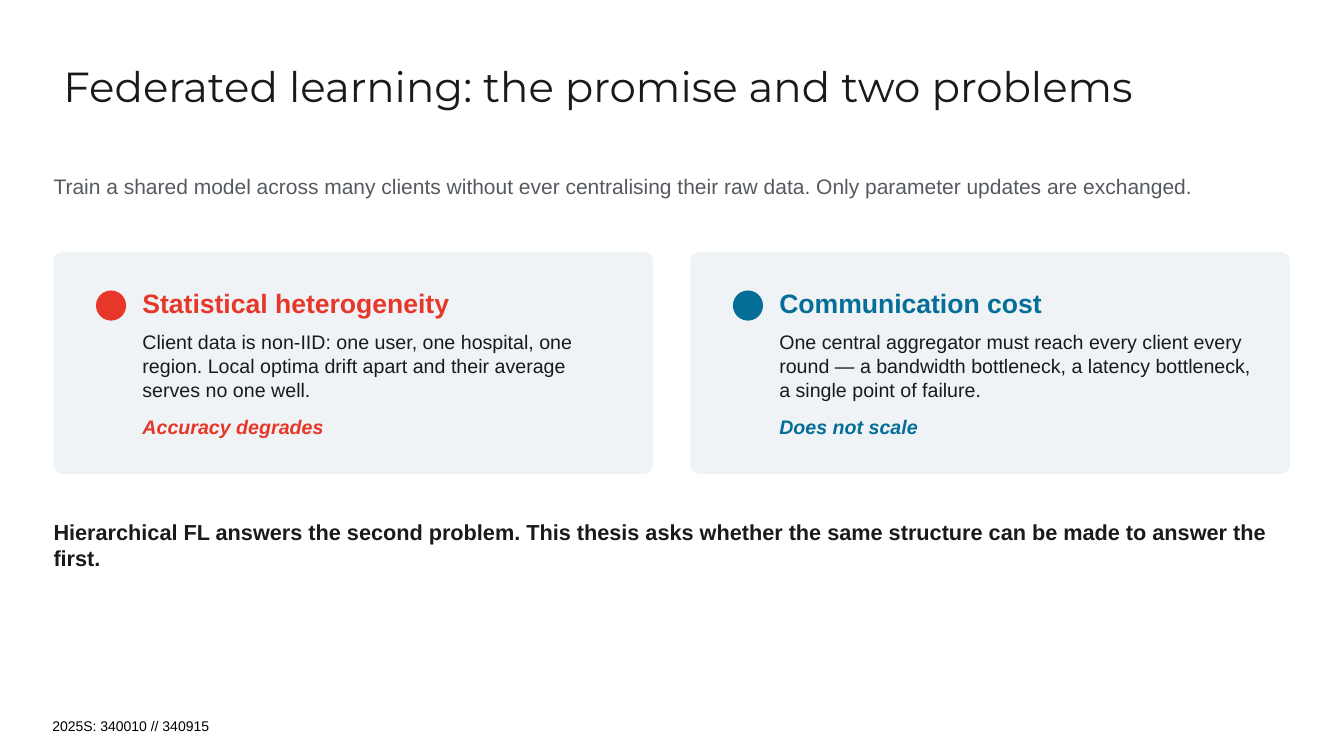
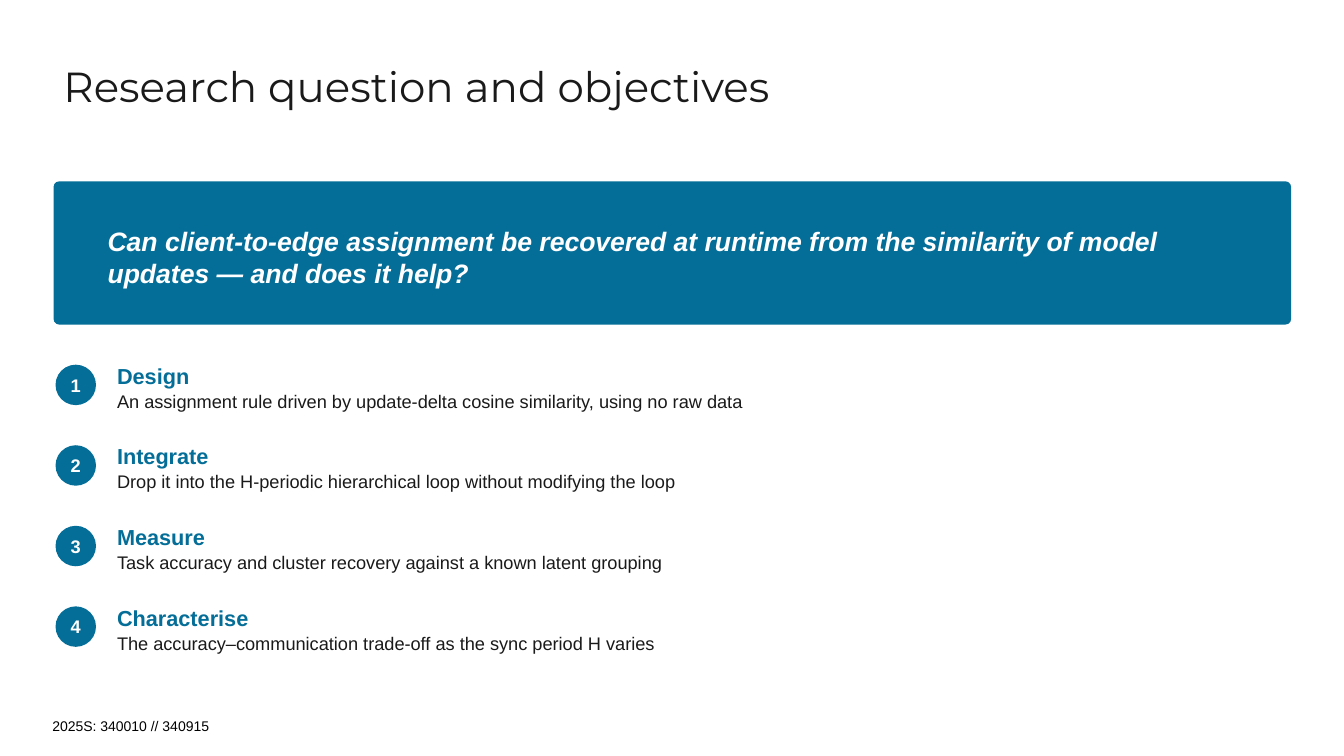
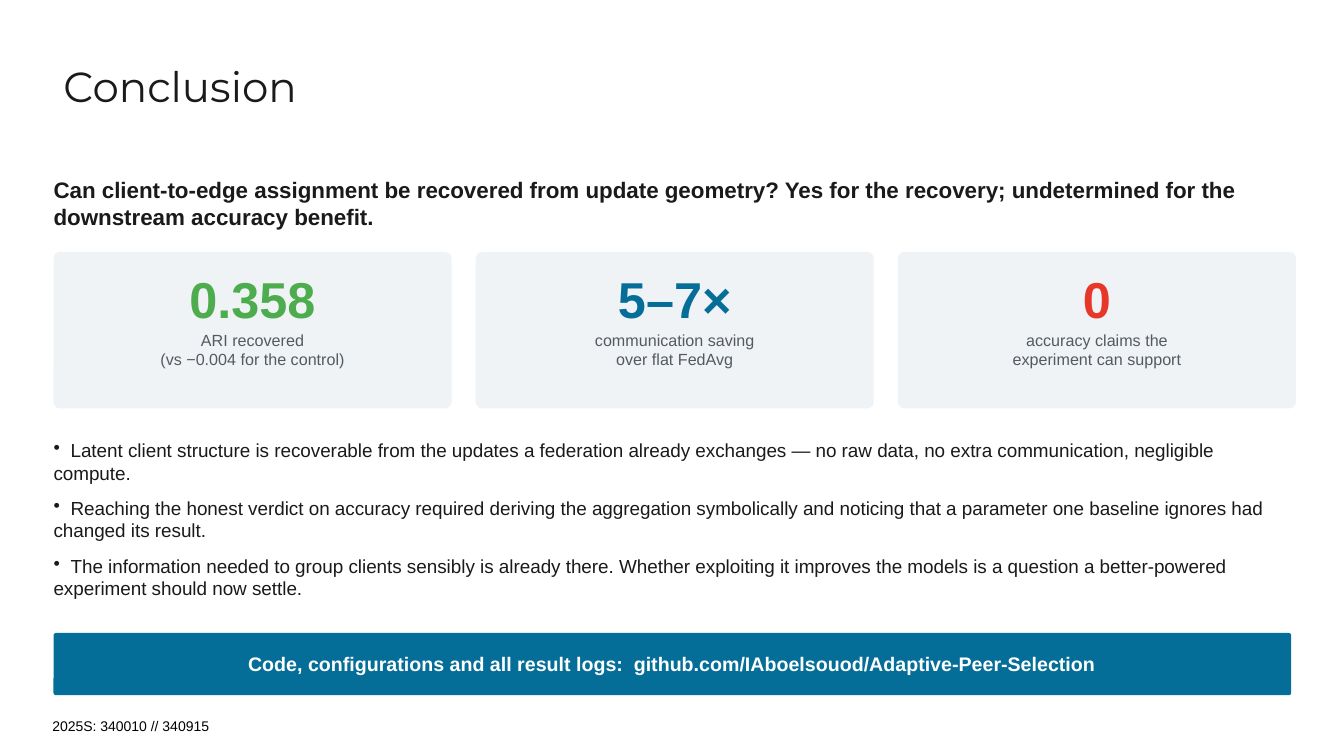
from lxml import etree
from pptx import Presentation
from pptx import util as u
from pptx.dml.color import RGBColor
from pptx.enum import shapes, text
from pptx.oxml.ns import qn

Cm, Pt = u.Cm, u.Pt
INK, GREY, WHITE, BLACK = "1A1A1A", "555A60", "FFFFFF", "000000"
BLUE, RED, GREEN, PALE = "046E98", "E73729", "4CAC4E", "EFF3F6"
ROUNDED, OVAL = shapes.MSO_SHAPE.ROUNDED_RECTANGLE, shapes.MSO_SHAPE.OVAL
LEFT, CENTER = text.PP_ALIGN.LEFT, text.PP_ALIGN.CENTER
TOP, MIDDLE = text.MSO_ANCHOR.TOP, text.MSO_ANCHOR.MIDDLE
MARGIN, WIDTH = 1.35, 31.19
TAB_STOP = 0.43


def add_panel(page, kind, left, top, width, height, fill):
    panel = page.shapes.add_shape(kind, Cm(left), Cm(top), Cm(width), Cm(height))
    panel.shadow.inherit = False
    panel.fill.solid()
    panel.fill.fore_color.rgb = RGBColor.from_string(fill)
    panel.line.fill.background()
    if kind == ROUNDED:
        panel.adjustments[0] = 0.04
    return panel


def write(box, paragraphs, align=LEFT, anchor=TOP, insets=(0, 0, 0, 0),
          font="Arial", spacing=None, bullets=False):
    """Each paragraph is (words, size, colour, style, space after); style holds b and i."""
    frame = box.text_frame
    frame.word_wrap = True
    frame.vertical_anchor = anchor
    frame.margin_left, frame.margin_top, frame.margin_right, frame.margin_bottom = map(Cm, insets)
    for index, (words, size, colour, style, after) in enumerate(paragraphs):
        para = frame.paragraphs[0] if index == 0 else frame.add_paragraph()
        para.alignment = align
        para.space_after = Pt(after)
        if spacing:
            para.line_spacing = spacing
        if bullets:
            # Wrapped lines return to the margin, so a tab sets the gap after the bullet
            props = para._p.get_or_add_pPr()
            props.set("marL", "0")
            props.set("indent", "0")
            etree.SubElement(props, qn("a:buChar"), char="•")
            tabs = etree.SubElement(props, qn("a:tabLst"))
            etree.SubElement(tabs, qn("a:tab"), pos=str(Cm(TAB_STOP)), algn="l")
            words = "\t" + words
        for number, line in enumerate(words.split("\n")):
            if number:
                para.add_line_break()
            span = para.add_run()
            span.text = line
            span.font.name = font
            span.font.size = Pt(size)
            span.font.bold = "b" in style
            span.font.italic = "i" in style
            span.font.color.rgb = RGBColor.from_string(colour)


deck = Presentation()
deck.slide_width, deck.slide_height = Cm(33.87), Cm(19.05)

# Title and footer of every slide
pages = []
for title in ("Federated learning: the promise and two problems",
              "Research question and objectives",
              "Conclusion"):
    page = deck.slides.add_slide(deck.slide_layouts[6])
    box = page.shapes.add_textbox(Cm(1.07), Cm(17.96), Cm(4.47), Cm(0.69))
    write(box, [("2025S: 340010 // 340915", 10, BLACK, "", 0)],
          insets=(0.25, 0.13, 0.25, 0.13))
    box.text_frame.word_wrap = False
    box = page.shapes.add_textbox(Cm(MARGIN), Cm(1.6), Cm(30.91), Cm(2.74))
    write(box, [(title, 30, INK, "", 0)], insets=(0.25, 0.13, 0.25, 0.13),
          font="Montserrat", spacing=0.83)
    pages.append(page)
problems, question, conclusion = pages

# Problems: lead, two cards, closing statement
for top, height, words, size, colour, style in (
        (4.37, 1.57, "Train a shared model across many clients without ever centralising their raw "
         "data. Only parameter updates are exchanged.", 15, GREY, ""),
        (13.08, 1.27, "Hierarchical FL answers the second problem. This thesis asks whether the same "
         "structure can be made to answer the first.", 15.5, INK, "b")):
    box = problems.shapes.add_textbox(Cm(MARGIN), Cm(top), Cm(30.99), Cm(height))
    write(box, [(words, size, colour, style, 6)])

cards = (
    ("Statistical heterogeneity", RED, "Accuracy degrades",
     "Client data is non-IID: one user, one hospital, one region. "
     "Local optima drift apart and their average serves no one well."),
    ("Communication cost", BLUE, "Does not scale",
     "One central aggregator must reach every client every round — "
     "a bandwidth bottleneck, a latency bottleneck, a single point of failure."),
)
for index, (heading, colour, effect, detail) in enumerate(cards):
    left = MARGIN + index * 16.05
    add_panel(problems, ROUNDED, left, 6.35, 15.11, 5.59, PALE)
    add_panel(problems, OVAL, left + 1.07, 7.32, 0.76, 0.76, colour)
    box = problems.shapes.add_textbox(Cm(left + 2.24), Cm(7.24), Cm(12.07), Cm(4.57))
    write(box, [(heading, 19, colour, "b", 8),
                (detail, 14, INK, "", 10),
                (effect, 14, colour, "bi", 0)])

# Research question: banner and numbered objectives
banner = add_panel(question, ROUNDED, MARGIN, 4.57, WIDTH, 3.61, BLUE)
write(banner, [("Can client-to-edge assignment be recovered at runtime from the similarity of model "
                "updates — and does it help?", 19, WHITE, "bi", 0)],
      anchor=MIDDLE, insets=(1.32, 0.2, 1.17, 0))

objectives = (
    ("Design", "An assignment rule driven by update-delta cosine similarity, using no raw data"),
    ("Integrate", "Drop it into the H-periodic hierarchical loop without modifying the loop"),
    ("Measure", "Task accuracy and cluster recovery against a known latent grouping"),
    ("Characterise", "The accuracy–communication trade-off as the sync period H varies"),
)
for index, (heading, detail) in enumerate(objectives):
    top = 9.14 + index * 2.03
    badge = add_panel(question, OVAL, 1.4, top + 0.05, 1.02, 1.02, BLUE)
    write(badge, [(str(index + 1), 13, WHITE, "b", 0)], CENTER, MIDDLE)
    box = question.shapes.add_textbox(Cm(2.95), Cm(top), Cm(28.96), Cm(1.22))
    write(box, [(heading, 15.5, BLUE, "b", 1), (detail, 13, INK, "", 0)])

# Conclusion: verdict, key figures, findings, link bar
box = conclusion.shapes.add_textbox(Cm(MARGIN), Cm(4.45), Cm(WIDTH), Cm(1.4))
write(box, [("Can client-to-edge assignment be recovered from update geometry? Yes for the recovery; "
             "undetermined for the downstream accuracy benefit.", 16, INK, "b", 6)])

figures = (
    ("0.358", GREEN, "ARI recovered\n(vs −0.004 for the control)"),
    ("5–7×", BLUE, "communication saving\nover flat FedAvg"),
    ("0", RED, "accuracy claims the\nexperiment can support"),
)
for index, (value, colour, caption) in enumerate(figures):
    left = MARGIN + index * 10.64
    add_panel(conclusion, ROUNDED, left, 6.35, 10.03, 3.94, PALE)
    box = conclusion.shapes.add_textbox(Cm(left), Cm(6.76), Cm(10.03), Cm(2.67))
    write(box, [(value, 36, colour, "b", 1), (caption, 11.5, GREY, "", 0)], CENTER)

findings = (
    "Latent client structure is recoverable from the updates a federation already exchanges — "
    "no raw data, no extra communication, negligible compute.",
    "Reaching the honest verdict on accuracy required deriving the aggregation symbolically and "
    "noticing that a parameter one baseline ignores had changed its result.",
    "The information needed to group clients sensibly is already there. Whether exploiting it "
    "improves the models is a question a better-powered experiment should now settle.",
)
box = conclusion.shapes.add_textbox(Cm(MARGIN), Cm(11.05), Cm(WIDTH), Cm(4.7))
write(box, [(finding, 13.5, INK, "", 9) for finding in findings], bullets=True)

bar = add_panel(conclusion, ROUNDED, MARGIN, 15.95, WIDTH, 1.57, BLUE)
write(bar, [("Code, configurations and all result logs:  "
             "github.com/IAboelsouod/Adaptive-Peer-Selection", 14, WHITE, "b", 0)], CENTER, MIDDLE)

deck.save("out.pptx")
